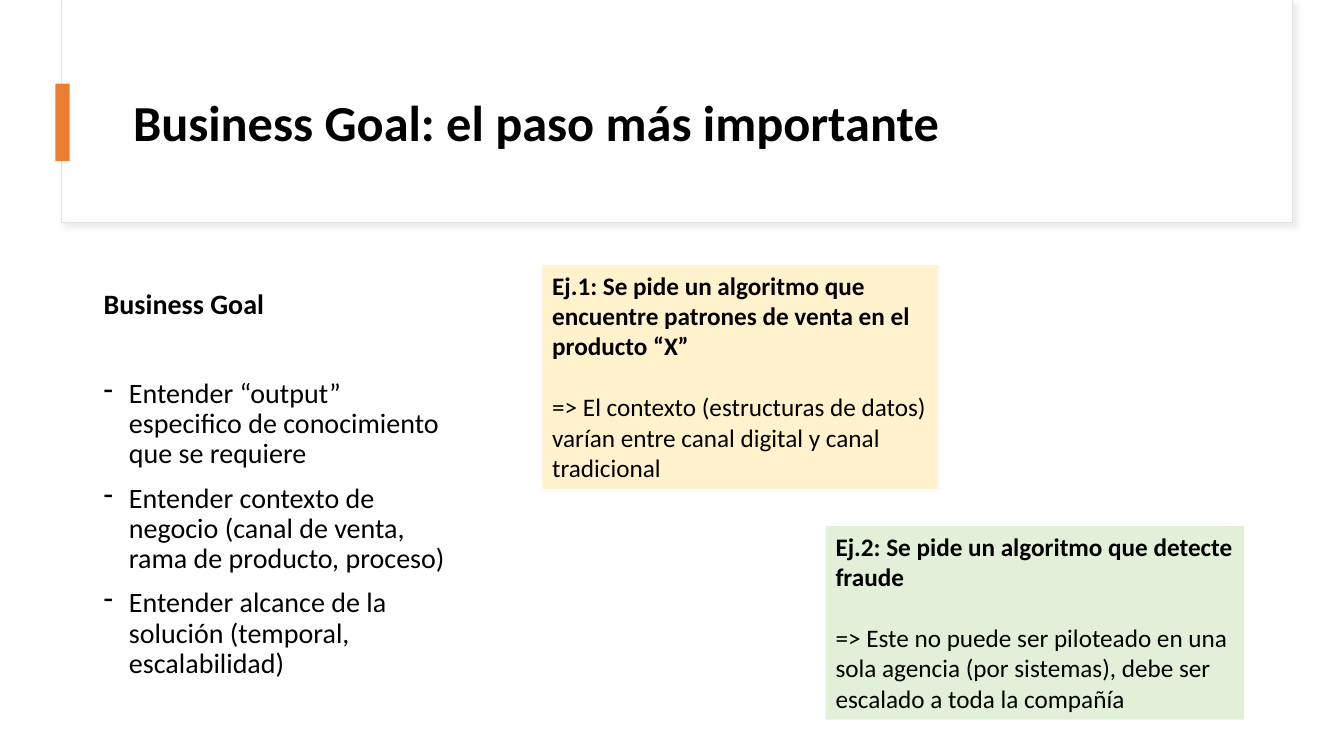
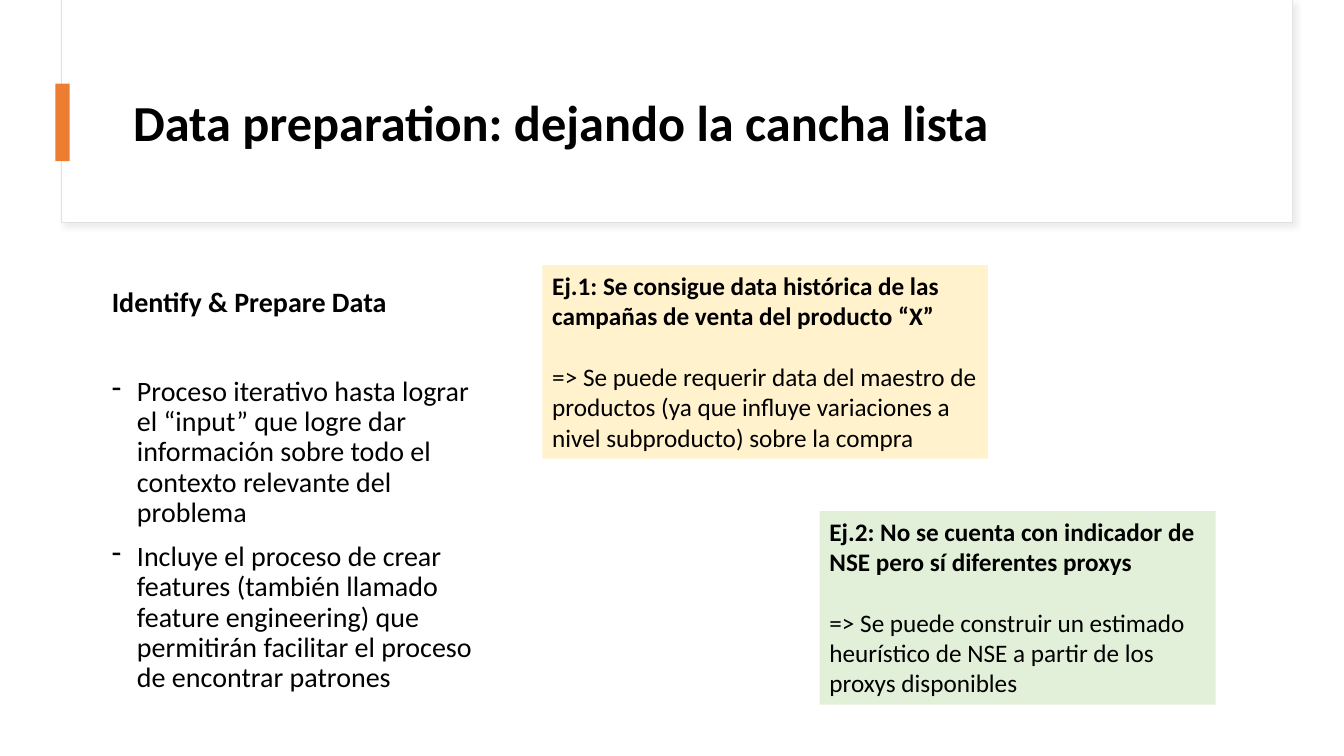
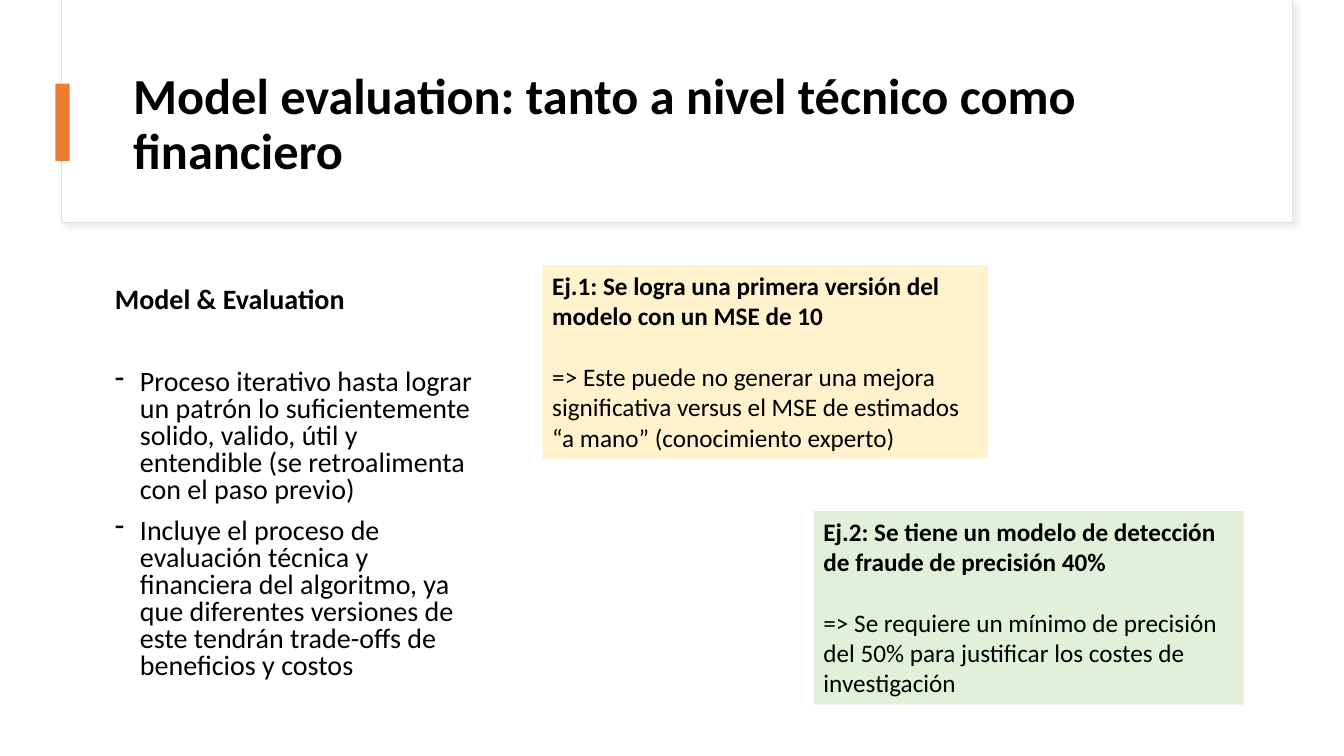
from dataclasses import dataclass

from lxml.etree import SubElement
from pptx import Presentation
from pptx.dml.color import RGBColor
from pptx.enum.shapes import MSO_SHAPE
from pptx.enum.text import MSO_ANCHOR, MSO_AUTO_SIZE, PP_ALIGN
from pptx.oxml.ns import qn
from pptx.util import Inches, Length, Pt

FONT = "Calibri"
BLACK, WHITE, ORANGE = "000000", "FFFFFF", "ED7D31"
FRAME_LINE, FRAME_SHADOW = "E1E1E1", "D9D9D9"
CREAM, GREEN = "FFF2CC", "E2F0D9"
LINE_HEIGHT = 1.22  # Calibri line height relative to its size
BODY_SIZE, EXAMPLE_SIZE, BODY_GAP = 20, 18, 10
INDENT = Inches(0.25)

deck = Presentation()
deck.slide_width, deck.slide_height = Inches(13.333), Inches(7.5)


@dataclass(frozen=True)
class Area:
    """Place and size in percent of the slide's width and height."""
    left: float
    top: float
    width: float
    height: float

    def lengths(self) -> list[Length]:
        return [Length(int(share * side / 100)) for share, side in (
            (self.left, deck.slide_width), (self.top, deck.slide_height),
            (self.width, deck.slide_width), (self.height, deck.slide_height))]


@dataclass(frozen=True)
class Example:
    area: Area
    fill: str
    request: str
    consequence: str


@dataclass(frozen=True)
class Step:
    title: str
    heading: str
    points: list[str]
    body_area: Area
    examples: list[Example]
    title_width: float = 83.4
    line_spacing: float = 0.9


def color(value: str) -> RGBColor:
    return RGBColor.from_string(value)


def write(frame, text: str, *, size: float, bold=False, line_spacing=1.0,
          space_before=0.0, dash=False) -> None:
    """Fill the frame's empty first paragraph, or add another one."""
    paragraph = frame.paragraphs[0] if not frame.text else frame.add_paragraph()
    if dash:
        properties = paragraph._p.get_or_add_pPr()
        properties.set("marL", str(INDENT))
        properties.set("indent", str(-INDENT))
        SubElement(properties, qn("a:buFontTx"))
        SubElement(properties, qn("a:buChar"), char="-")
    paragraph.alignment = PP_ALIGN.LEFT
    paragraph.line_spacing = line_spacing
    paragraph.space_before = Pt(space_before)
    run = paragraph.add_run()
    run.text = text
    run.font.name, run.font.size, run.font.bold = FONT, Pt(size), bold
    run.font.color.rgb = color(BLACK)


def add_box(slide, area: Area, fill: str, line: str | None = None):
    box = slide.shapes.add_shape(MSO_SHAPE.RECTANGLE, *area.lengths())
    box.shadow.inherit = False
    box.fill.solid()
    box.fill.fore_color.rgb = color(fill)
    if line:
        box.line.color.rgb = color(line)
        box.line.width = Pt(0.75)
    else:
        box.line.fill.background()
    return box


def add_soft_shadow(box) -> None:
    effects = box.element.spPr.find(qn("a:effectLst"))
    shadow = SubElement(effects, qn("a:outerShdw"), blurRad=str(Pt(4)),
                        dist=str(Pt(3)), dir=str(45 * 60000),
                        algn="tl", rotWithShape="0")
    tint = SubElement(shadow, qn("a:srgbClr"), val=FRAME_SHADOW)
    SubElement(tint, qn("a:alpha"), val="50000")


def add_header(slide, title: str, width: float) -> None:
    """Shadowed frame, title and orange marker shared by all slides."""
    add_soft_shadow(add_box(slide, Area(4.58, 0, 91.58, 29.47), WHITE, FRAME_LINE))
    add_box(slide, Area(4.65, 0, 91.5, 29.33), WHITE)

    heading = slide.shapes.title
    heading.left, heading.top, heading.width, heading.height = Area(
        9.15, 8, width, 17.2).lengths()
    frame = heading.text_frame
    frame.word_wrap, frame.auto_size = True, MSO_AUTO_SIZE.NONE
    frame.vertical_anchor = MSO_ANCHOR.MIDDLE
    write(frame, title, size=36, bold=True, line_spacing=0.9)
    slide.shapes.element.append(heading.element)  # bring above the frame

    add_box(slide, Area(4.13, 11.07, 1.05, 10.27), ORANGE)


def add_body(slide, step: Step) -> None:
    frame = slide.shapes.add_textbox(*step.body_area.lengths()).text_frame
    frame.word_wrap = True
    spacing = step.line_spacing
    write(frame, step.heading, size=BODY_SIZE, bold=True, line_spacing=spacing)
    # One line of air separates the heading from the points
    heading_gap = round(2 * BODY_GAP + BODY_SIZE * LINE_HEIGHT * spacing, 1)
    for number, point in enumerate(step.points):
        write(frame, point, size=BODY_SIZE, line_spacing=spacing, dash=True,
              space_before=BODY_GAP if number else heading_gap)


def add_example(slide, example: Example) -> None:
    frame = add_box(slide, example.area, example.fill).text_frame
    frame.word_wrap, frame.auto_size = True, MSO_AUTO_SIZE.SHAPE_TO_FIT_TEXT
    frame.vertical_anchor = MSO_ANCHOR.TOP
    write(frame, example.request, size=EXAMPLE_SIZE, bold=True)
    write(frame, example.consequence, size=EXAMPLE_SIZE,
          space_before=round(EXAMPLE_SIZE * LINE_HEIGHT, 1))


STEPS = [
    Step(
        "Business Goal: el paso más importante",
        "Business Goal",
        ["Entender “output” especifico de conocimiento que se requiere",
         "Entender contexto de negocio (canal de venta, rama de producto, proceso)",
         "Entender alcance de la solución (temporal, escalabilidad)"],
        Area(6.98, 37.73, 27.9, 53.87),
        [Example(Area(40.35, 35.07, 29.48, 29.6), CREAM,
                 "Ej.1: Se pide un algoritmo que encuentre patrones de venta "
                 "en el producto “X”",
                 "=> El contexto (estructuras de datos) varían entre canal "
                 "digital y canal tradicional"),
         Example(Area(61.43, 69.6, 31.15, 25.6), GREEN,
                 "Ej.2: Se pide un algoritmo que detecte fraude",
                 "=> Este no puede ser piloteado en una sola agencia (por "
                 "sistemas), debe ser escalado a toda la compañía")],
    ),
    Step(
        "Data preparation: dejando la cancha lista",
        "Identify & Prepare Data",
        ["Proceso iterativo hasta lograr el “input” que logre dar información "
         "sobre todo el contexto relevante del problema",
         "Incluye el proceso de crear features (también llamado feature "
         "engineering) que permitirán facilitar el proceso de encontrar patrones"],
        Area(7.58, 37.47, 29.03, 56.93),
        [Example(Area(40.35, 35.07, 33.15, 25.6), CREAM,
                 "Ej.1: Se consigue data histórica de las campañas de venta "
                 "del producto “X”",
                 "=> Se puede requerir data del maestro de productos (ya que "
                 "influye variaciones a nivel subproducto) sobre la compra"),
         Example(Area(60.98, 67.6, 29.48, 25.6), GREEN,
                 "Ej.2: No se cuenta con indicador de NSE pero sí diferentes proxys",
                 "=> Se puede construir un estimado heurístico de NSE a partir "
                 "de los proxys disponibles")],
    ),
    Step(
        "Model evaluation: tanto a nivel técnico como financiero",
        "Model & Evaluation",
        ["Proceso iterativo hasta lograr un patrón lo suficientemente solido, "
         "valido, útil y entendible (se retroalimenta con el paso previo)",
         "Incluye el proceso de evaluación técnica y financiera del algoritmo, "
         "ya que diferentes versiones de este tendrán trade-offs de beneficios "
         "y costos"],
        Area(7.8, 37.47, 29.03, 58.8),
        [Example(Area(40.35, 35.07, 33.15, 25.6), CREAM,
                 "Ej.1: Se logra una primera versión del modelo con un MSE de 10",
                 "=> Este puede no generar una mejora significativa versus el "
                 "MSE de estimados “a mano” (conocimiento experto)"),
         Example(Area(60.53, 67.6, 32.03, 25.6), GREEN,
                 "Ej.2: Se tiene un modelo de detección de fraude de precisión 40%",
                 "=> Se requiere un mínimo de precisión del 50% para justificar "
                 "los costes de investigación")],
        title_width=86.18,
        line_spacing=0.8,
    ),
]


def main() -> None:
    title_only = deck.slide_layouts.get_by_name("Title Only")
    for step in STEPS:
        slide = deck.slides.add_slide(title_only)
        add_header(slide, step.title, step.title_width)
        add_body(slide, step)
        for example in step.examples:
            add_example(slide, example)
    deck.save("out.pptx")


if __name__ == "__main__":
    main()
